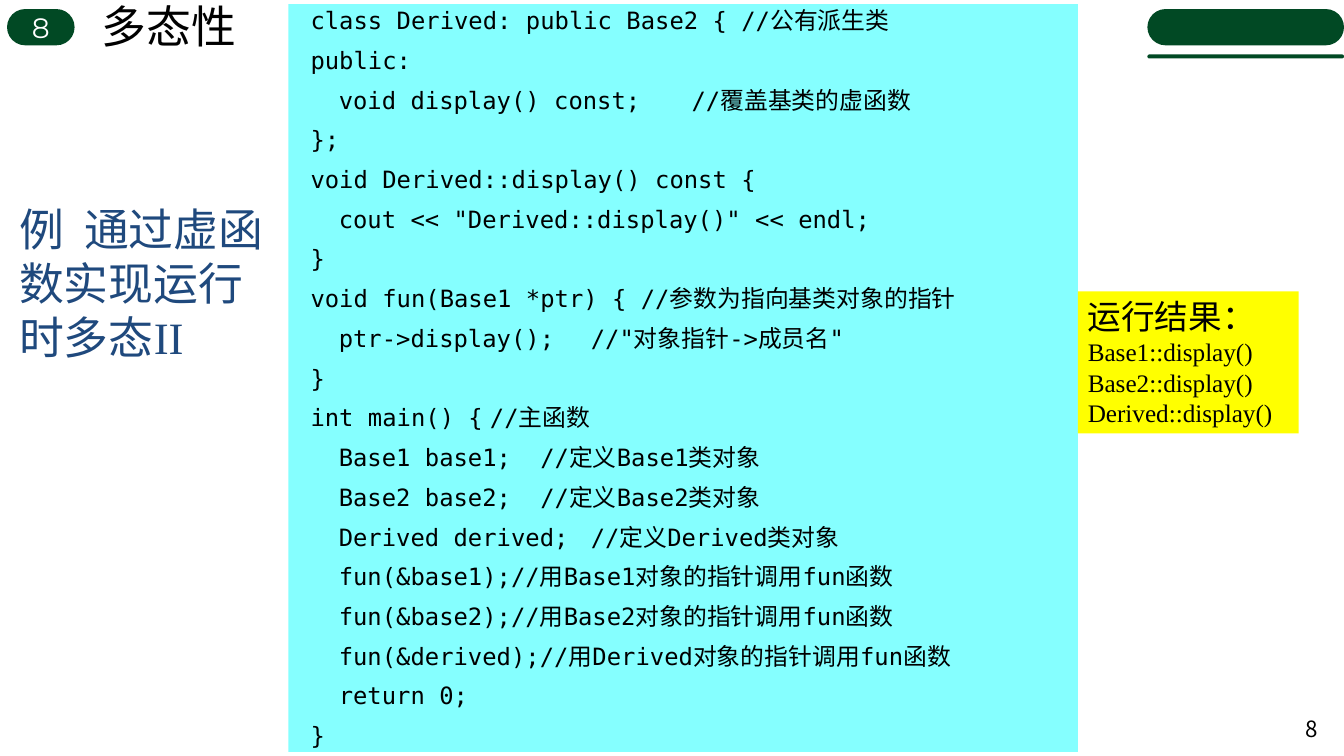
from pptx import Presentation
from pptx.dml.color import RGBColor
from pptx.enum import shapes, text
from pptx.oxml import ns
from pptx.util import Inches, Pt
from lxml import etree

GREEN = RGBColor(0x01, 0x49, 0x24)
NAVY = RGBColor(0x1F, 0x49, 0x7D)
CYAN = RGBColor(0x85, 0xFF, 0xFF)
YELLOW = RGBColor(0xFF, 0xFF, 0x00)
BLACK = RGBColor(0, 0, 0)
WHITE = RGBColor(0xFF, 0xFF, 0xFF)
SANS, SERIF, MONO = "Montserrat", "Times New Roman", "DejaVu Sans Mono"
LEFT, CENTER, RIGHT = (text.PP_ALIGN.LEFT, text.PP_ALIGN.CENTER,
                       text.PP_ALIGN.RIGHT)

CODE = """class Derived: public Base2 { //公有派生类
public:
\tvoid display() const; \t//覆盖基类的虚函数
};
void Derived::display() const {
\tcout << "Derived::display()" << endl;
}
void fun(Base1 *ptr) { //参数为指向基类对象的指针
\tptr->display();\t//"对象指针->成员名"
}
int main() {\t//主函数
\tBase1 base1;\t//定义Base1类对象
\tBase2 base2;\t//定义Base2类对象
\tDerived derived;\t//定义Derived类对象
\tfun(&base1);//用Base1对象的指针调用fun函数
\tfun(&base2);//用Base2对象的指针调用fun函数
\tfun(&derived);//用Derived对象的指针调用fun函数
\treturn 0;
}"""
RESULT = ["运行结果：", "Base1::display()", "Base2::display()",
          "Derived::display()"]


def style(para, size, name, color=BLACK, align=LEFT):
    para.alignment = align
    font = para.font
    font.size, font.name, font.color.rgb = Pt(size), name, color


def place(shape, box):
    shape.left, shape.top, shape.width, shape.height = map(Inches, box)


def add_block(slide, box, color, kind=shapes.MSO_SHAPE.RECTANGLE):
    block = slide.shapes.add_shape(kind, *map(Inches, box))
    block.shadow.inherit = False
    block.fill.solid()
    block.fill.fore_color.rgb = color
    block.line.fill.background()
    return block


def add_pill(slide, box):
    pill = add_block(slide, box, GREEN, shapes.MSO_SHAPE.ROUNDED_RECTANGLE)
    pill.adjustments[0] = 0.5
    return pill


def add_label(slide, box, words):
    label = slide.shapes.add_textbox(*map(Inches, box))
    label.text_frame.text = words
    return label.text_frame


def add_header(slide, box):
    """Badge and topic at the left of the strip, two bars at its right."""
    left, top, width, height = box
    badge = add_pill(slide, (left, top, 0.67, height)).text_frame
    badge.text = "8"
    badge.vertical_anchor = text.MSO_ANCHOR.MIDDLE
    style(badge.paragraphs[0], 20, SANS, WHITE, CENTER)
    topic = add_label(slide, (left + 0.84, top - 0.15, 1.55, 0.64), "多态性")
    topic.word_wrap = False
    style(topic.paragraphs[0], 32, "Arial")
    span = 1.95
    edge = left + width - span
    add_pill(slide, (edge, top, span, height))
    add_pill(slide, (edge, top + height + 0.09, span, 0.04))


def fill_title(slide, box):
    title = slide.shapes.title
    place(title, box)
    frame = title.text_frame
    frame.auto_size = text.MSO_AUTO_SIZE.NONE
    frame.vertical_anchor = text.MSO_ANCHOR.MIDDLE
    para = frame.paragraphs[0]
    style(para, 32, SANS, NAVY)
    para.add_run().text = "例  通过虚函数实现运行时多态"
    part = para.add_run()
    part.text = "II"
    part.font.name = SERIF


def fill_code(slide, box):
    body = slide.placeholders[1]
    place(body, box)
    body.fill.solid()
    body.fill.fore_color.rgb = CYAN
    frame = body.text_frame
    frame.text = CODE
    frame.auto_size = text.MSO_AUTO_SIZE.NONE
    for row, para in enumerate(frame.paragraphs):
        props = para._p.get_or_add_pPr()
        props.set("marL", str(Inches(0.4)))
        props.set("indent", str(Inches(-0.28)))
        etree.SubElement(props, ns.qn("a:buNone"))
        para.line_spacing = 0.9
        para.space_before = Pt(10 if row else 0)
        style(para, 17, MONO)


def add_result(slide, box):
    frame = add_block(slide, box, YELLOW).text_frame
    frame.text = "\n".join(RESULT)
    frame.word_wrap = True
    frame.vertical_anchor = text.MSO_ANCHOR.TOP
    for row, para in enumerate(frame.paragraphs):
        style(para, 18 if row else 24, SERIF)


def add_number(slide, box):
    frame = add_label(slide, box, "8")
    frame.word_wrap = True
    frame.vertical_anchor = text.MSO_ANCHOR.MIDDLE
    style(frame.paragraphs[0], 16, "Noto Sans CJK SC", align=RIGHT)


def main():
    deck = Presentation()
    deck.slide_width, deck.slide_height = Inches(13.33), Inches(7.5)
    slide = deck.slides.add_slide(deck.slide_layouts[1])
    add_header(slide, (0.07, 0.09, 13.26, 0.36))
    fill_title(slide, (0.09, 1.3, 2.84, 3.01))
    fill_code(slide, (2.86, 0.04, 7.83, 7.42))
    add_result(slide, (10.69, 2.89, 2.19, 1.41))
    add_number(slide, (12.68, 7.03, 0.49, 0.4))
    deck.save("out.pptx")


if __name__ == "__main__":
    main()
